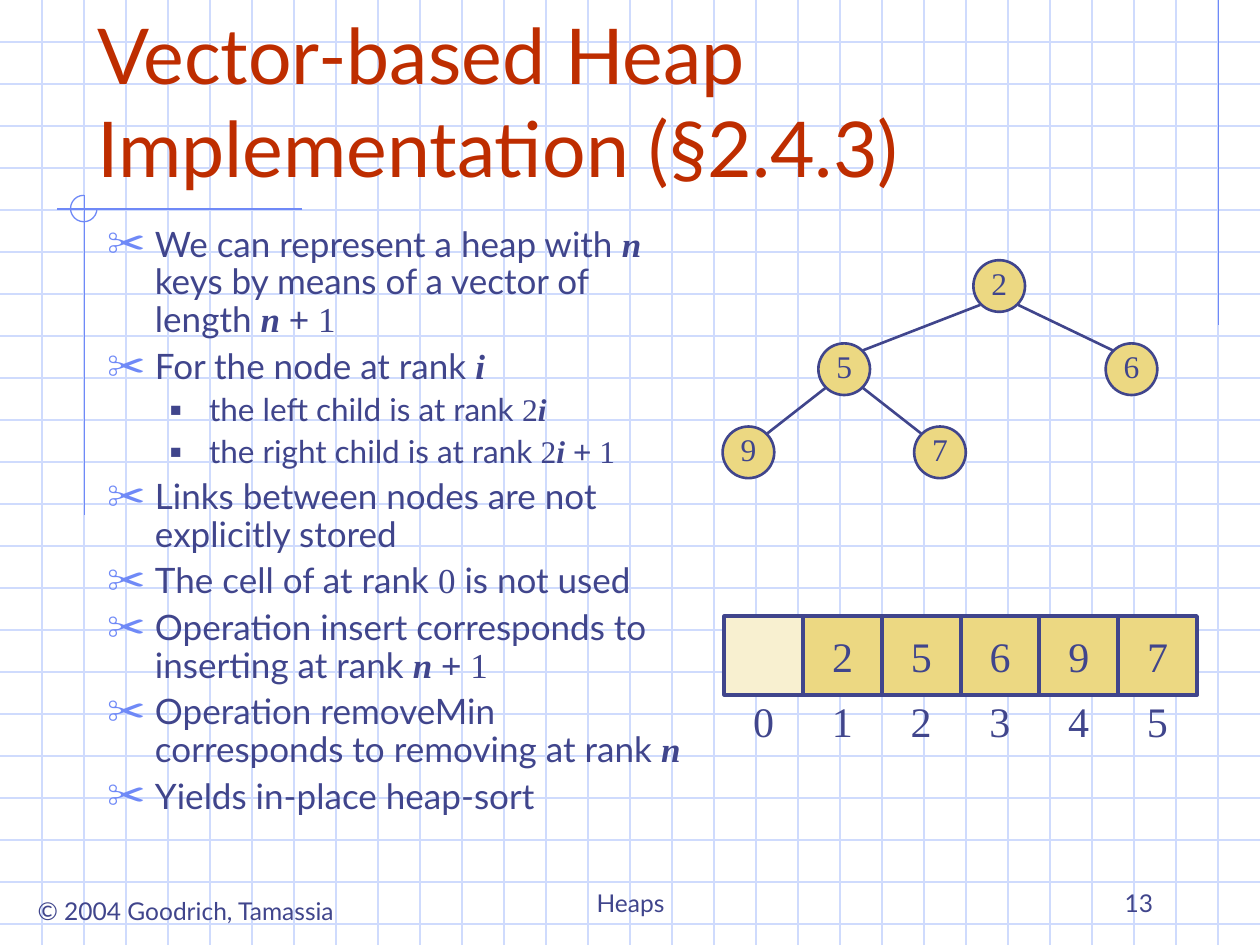
from lxml.etree import SubElement as Sub
from pptx import Presentation
from pptx.dml.color import RGBColor
from pptx.enum.shapes import MSO_CONNECTOR as Link, MSO_SHAPE as Shape
from pptx.enum.text import MSO_ANCHOR as Anchor, MSO_AUTO_SIZE as Fit, PP_ALIGN as Align
from pptx.oxml.ns import qn
from pptx.util import Inches, Pt

INK, RED, BLUE, GRID = "40458C", "BE2D00", "6F89F7", "CFDBFD"
GOLD, PALE = "ECD882", "F8F0D0"
SANS, SERIF = "Lato", "Times New Roman"


def color(code):
    return RGBColor.from_string(code)


def var(text):
    return text, SERIF, True


def num(text):
    return text, SERIF, False


NEXT = [var("n "), ("+", "Arial", False), num(" 1")]

# Each point is a level and its runs; plain strings use the body font
POINTS = [
    (0, ["We can represent a heap with ", var("n"),
         " keys by means of a vector of length ", *NEXT]),
    (0, ["For the node at rank ", var("i")]),
    (1, ["the left child is at rank ", num("2"), var("i")]),
    (1, ["the right child is at rank ", num("2"), var("i "), *NEXT[1:]]),
    (0, ["Links between nodes are not explicitly stored"]),
    (0, ["The cell of at rank ", num("0"), " is not used"]),
    (0, ["Operation insert corresponds to inserting at rank ", *NEXT]),
    (0, ["Operation removeMin corresponds to removing at rank ", var("n")]),
    (0, ["Yields in-place heap-sort"]),
]

# Per level: size, space before, left margin, hang, bullet, its colour and percent
LEVELS = [
    (20, 5, 0.38, 0.38, "✂", BLUE, 110),
    (18, 4.5, 0.81, 0.31, "■", INK, 60),
]


class Deck:
    """Holds the slide and draws each kind of element in one style."""

    def __init__(self):
        self.prs = Presentation()
        self.prs.slide_width, self.prs.slide_height = Inches(10), Inches(7.5)
        self.slide = self.prs.slides.add_slide(self.prs.slide_layouts[1])
        self.shapes = self.slide.shapes

    def line(self, x1, y1, x2, y2, code, width=0.75):
        link = self.shapes.add_connector(
            Link.STRAIGHT, Inches(x1), Inches(y1), Inches(x2), Inches(y2))
        link.line.color.rgb = color(code)
        link.line.width = Pt(width)
        Sub(link._element.spPr, qn("a:effectLst"))

    def shape(self, kind, x, y, size, fill, code, width):
        item = self.shapes.add_shape(
            kind, Inches(x), Inches(y), Inches(size), Inches(size))
        item.shadow.inherit = False
        if fill:
            item.fill.solid()
            item.fill.fore_color.rgb = color(fill)
        else:
            item.fill.background()
        item.line.color.rgb = color(code)
        item.line.width = Pt(width)
        return item

    def font(self, para, size, name=SANS, code=INK):
        para.font.size = Pt(size)
        para.font.name = name
        para.font.color.rgb = color(code)

    def text(self, item, words, size, name=SANS, code=INK, align=Align.CENTER,
             anchor=Anchor.MIDDLE, pad=(0.1, 0.05, 0.1, 0.05), wrap=False):
        frame = item.text_frame
        frame.word_wrap, frame.auto_size = wrap, Fit.NONE
        frame.vertical_anchor = anchor
        (frame.margin_left, frame.margin_top,
         frame.margin_right, frame.margin_bottom) = map(Inches, pad)
        para = frame.paragraphs[0]
        para.text, para.alignment = words, align
        self.font(para, size, name, code)

    def label(self, box, words, size, **style):
        self.text(self.shapes.add_textbox(*map(Inches, box)), words, size, **style)

    def place(self, item, box):
        """Moves a placeholder into its box and in front of the grid."""
        item.left, item.top, item.width, item.height = map(Inches, box)
        self.shapes._spTree.append(item._element)

    def title(self, box, words):
        item = self.shapes.title
        self.place(item, box)
        self.text(item, words, 44, code=RED, align=Align.LEFT,
                  anchor=Anchor.BOTTOM, wrap=True)

    def body(self, box, points):
        item = self.slide.placeholders[1]
        self.place(item, box)
        frame = item.text_frame
        frame.auto_size = Fit.NONE
        for i, (level, runs) in enumerate(points):
            para = frame.add_paragraph() if i else frame.paragraphs[0]
            size, gap, left, hang, mark, tint, scale = LEVELS[level]
            para.level, para.line_spacing, para.space_before = level, 0.9, Pt(gap)
            self.bullet(para, left, hang, mark, tint, scale)
            self.font(para, size)
            for part in runs:
                words, name, slant = (part, SANS, False) if isinstance(part, str) else part
                run = para.add_run()
                run.text = words
                if name != SANS:
                    run.font.name = name
                if slant:
                    run.font.bold = run.font.italic = True

    def bullet(self, para, left, hang, mark, tint, scale):
        props = para._p.get_or_add_pPr()
        props.set("marL", str(Inches(left)))
        props.set("indent", str(-Inches(hang)))
        Sub(Sub(props, qn("a:buClr")), qn("a:srgbClr"), val=tint)
        Sub(props, qn("a:buSzPct"), val=str(scale * 1000))
        Sub(props, qn("a:buChar"), char=mark)

    def grid(self, step):
        for i in range(1, 23):
            self.line(0, i * step, 10, i * step, GRID)
        for i in range(1, 30):
            self.line(i * step, 0, i * step, 7.5, GRID)

    def tree(self, nodes, edges):
        size, reach = 0.41, 0.15
        for up, down in edges:
            (x1, y1), (x2, y2) = nodes[up], nodes[down]
            side = reach if x2 > x1 else -reach
            self.line(x1 + side, y1 + reach, x2 - side, y2 - reach, INK, 1.5)
        for key, (x, y) in nodes.items():
            node = self.shape(Shape.OVAL, x - size / 2, y - size / 2, size, GOLD, INK, 1.5)
            self.text(node, key, 18, SERIF, pad=(0, 0, 0, 0.05))

    def vector(self, x, y, cell, keys):
        for rank, key in enumerate(keys):
            left = x + rank * cell
            box = self.shape(Shape.RECTANGLE, left, y, cell,
                             GOLD if key else PALE, INK, 2.25)
            if key:
                self.text(box, key, 24, SERIF)
            self.label((left + 0.16, y + 0.63, 0.3, 0.4), str(rank), 24, name=SERIF,
                       anchor=Anchor.TOP, pad=(0, 0, 0, 0), wrap=True)


def main():
    deck = Deck()

    # Squared paper and corner ornaments
    deck.grid(1 / 3)
    deck.line(9.67, 0, 9.67, 2.58, BLUE)
    deck.line(2.4, 1.66, 0.45, 1.66, BLUE)
    deck.line(0.67, 1.55, 0.67, 4.09, BLUE)
    arc = deck.shape(Shape.ARC, 0.56, 1.55, 0.21, None, BLUE, 0.75)
    arc.adjustments[0], arc.adjustments[1] = 0, 162

    # Footer
    deck.label((0.12, 7.06, 2.71, 0.34), "© 2004 Goodrich, Tamassia", 14, anchor=Anchor.TOP)
    deck.label((3.42, 6.83, 3.17, 0.5), "Heaps", 14, anchor=Anchor.BOTTOM, wrap=True)
    deck.label((7.17, 6.83, 2.08, 0.5), "13", 14, align=Align.RIGHT,
               anchor=Anchor.BOTTOM, wrap=True)

    # Title and points
    deck.title((0.67, 0.33, 8.5, 1.25), "Vector-based Heap Implementation (§2.4.3)")
    deck.body((0.75, 1.75, 4.83, 5.33), POINTS)

    # Heap as a tree, then as a vector
    nodes = {"2": (7.93, 2.27), "5": (6.7, 2.93), "6": (8.98, 2.93),
             "9": (5.94, 3.59), "7": (7.46, 3.59)}
    deck.tree(nodes, ["25", "26", "59", "57"])
    deck.vector(5.75, 4.89, 0.625, ["", "2", "5", "6", "9", "7"])

    deck.prs.save("out.pptx")


if __name__ == "__main__":
    main()
